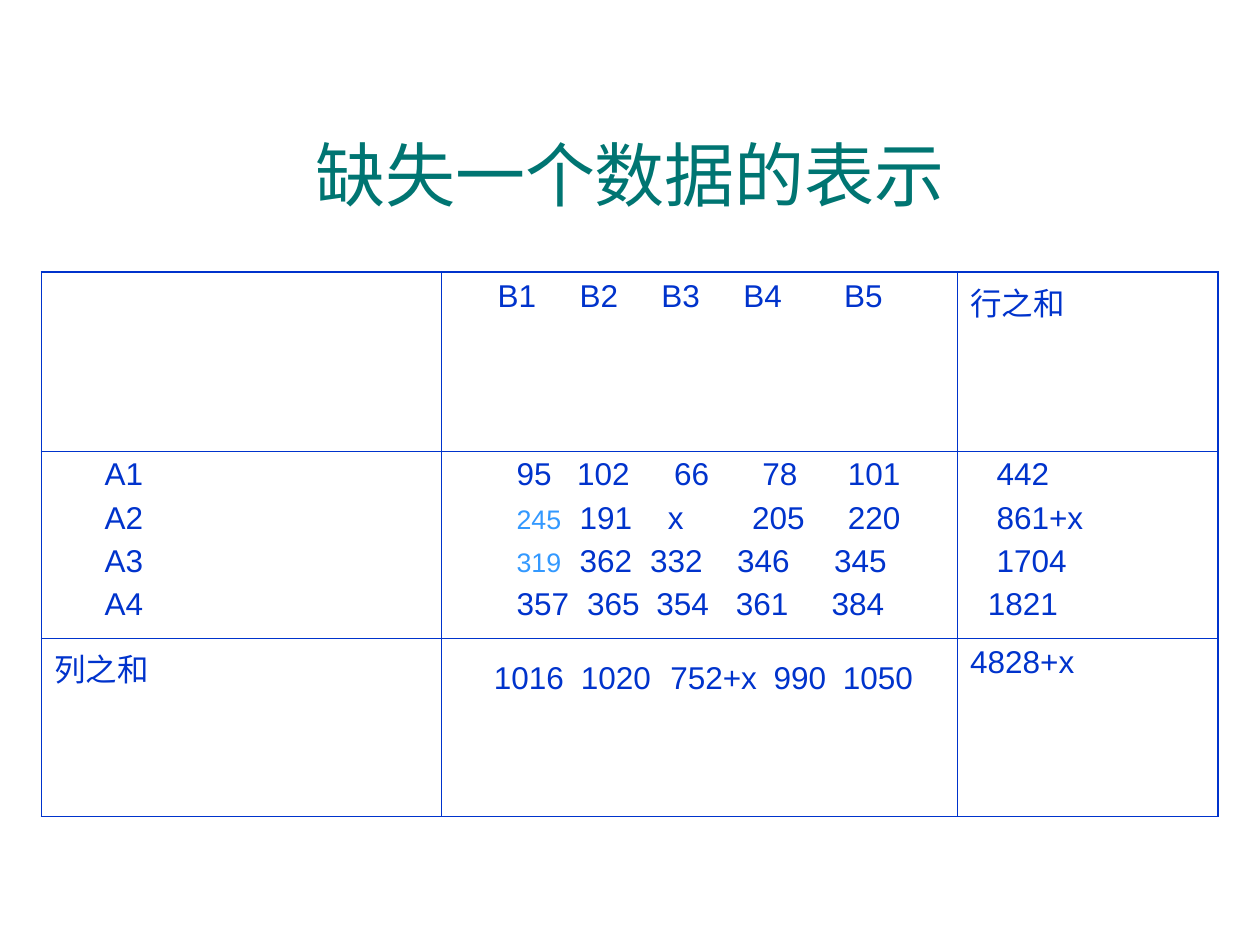
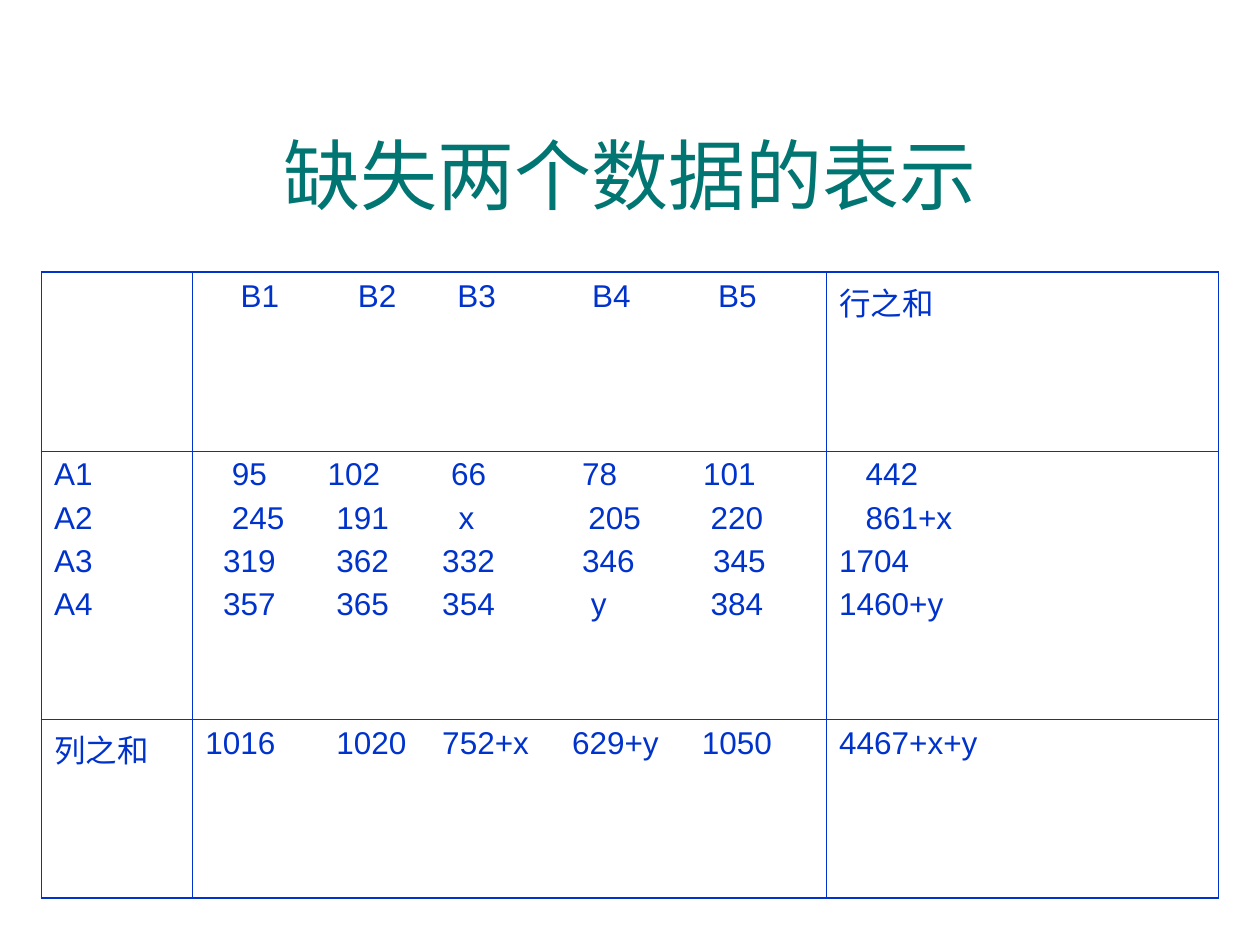
from lxml.etree import SubElement
from pptx import Presentation
from pptx.dml.color import RGBColor
from pptx.enum.text import MSO_ANCHOR, MSO_AUTO_SIZE, PP_ALIGN
from pptx.oxml import parse_xml
from pptx.oxml.ns import nsdecls, qn
from pptx.util import Inches, Pt

COLORS = {"title": "007572", "table": "0033CC", "highlight": "3399FF"}
OUTER_LINE, INNER_LINE = 1.08, 0.45
TABLE_LEFT, TABLE_TOP = 0.33, 2.16

# Each cell is a list of lines; each line is (positions in inches, words).
slides = [
    {
        "title": "缺失一个数据的表示",
        "title_size": 40,
        "columns": [3.17, 4.1, 2.07],
        "rows": [1.42, 1.49, 1.41],
        "column_sum_top": 0.18,
        "highlights": ["245", "319"],
        "cells": [
            [
                [],
                [([0.35, 1, 1.65, 2.3, 3.1], "B1 B2 B3 B4 B5")],
                [([0], "行之和")],
            ],
            [
                [([0.4], name) for name in ("A1", "A2", "A3", "A4")],
                [
                    ([0.5, 0.98, 1.75, 2.45, 3.13], "95 102 66 78 101"),
                    ([0.5, 1, 1.7, 2.37, 3.13], "245 191 x 205 220"),
                    ([0.5, 1, 1.56, 2.25, 3.02], "319 362 332 346 345"),
                    ([0.5, 1.06, 1.61, 2.24, 3], "357 365 354 361 384"),
                ],
                [([0.21], "442"), ([0.21], "861+x"), ([0.21], "1704"), ([0.14], "1821")],
            ],
            [
                [([0], "列之和")],
                [([0.32, 1.01, 1.72, 2.54, 3.09], "1016 1020 752+x 990 1050")],
                [([0], "4828+x")],
            ],
        ],
    },
    {
        "title": "缺失两个数据的表示",
        "title_size": 44,
        "columns": [1.2, 5.03, 3.11],
        "rows": [1.42, 2.13, 1.42],
        "column_sum_top": 0.05,
        "highlights": [],
        "cells": [
            [
                [],
                [([0.28, 1.21, 2, 3.07, 4.07], "B1 B2 B3 B4 B5")],
                [([0], "行之和")],
            ],
            [
                [([0], name) for name in ("A1", "A2", "A3", "A4")],
                [
                    ([0.21, 0.97, 1.95, 2.99, 3.95], "95 102 66 78 101"),
                    ([0.21, 1.04, 2.01, 3.04, 4.01], "245 191 x 205 220"),
                    ([0.14, 1.04, 1.88, 2.99, 4.03], "319 362 332 346 345"),
                    ([0.14, 1.04, 1.88, 3.06, 4.01], "357 365 354 y 384"),
                ],
                [([0.21], "442"), ([0.21], "861+x"), ([0], "1704"), ([0], "1460+y")],
            ],
            [
                [([0], "列之和")],
                [([0, 1.04, 1.88, 2.91, 3.94], "1016 1020 752+x 629+y 1050")],
                [([0], "4467+x+y")],
            ],
        ],
    },
]


def set_borders(cell, widths):
    """Draw the left, right, top and bottom borders, in that order."""
    properties = cell._tc.get_or_add_tcPr()
    for place, (side, width) in enumerate(zip("LRTB", widths)):
        properties.insert(place, parse_xml(
            f'<a:ln{side} {nsdecls("a")} w="{Pt(width)}"><a:solidFill>'
            f'<a:srgbClr val="{COLORS["table"]}"/></a:solidFill></a:ln{side}>'))


def write_line(para, positions, words, highlights):
    """Indent a single word; put several words on tab stops."""
    properties = para._p.get_or_add_pPr()
    if len(positions) == 1:
        properties.set("marL", str(Inches(positions[0])))
    else:
        tabs = SubElement(properties, qn("a:tabLst"))
        for position in filter(None, positions):
            SubElement(tabs, qn("a:tab"), pos=str(Inches(position)), algn="l")
    for position, word in zip(positions, words.split()):
        if position and len(positions) > 1:
            para.add_run().text = "\t"
        span = para.add_run()
        span.text = word
        if word in highlights:
            span.font.size = Pt(15.3)
            span.font.color.rgb = RGBColor.from_string(COLORS["highlight"])
    para.font.size = Pt(18)
    para.font.name = "Arial"
    para.font.color.rgb = RGBColor.from_string(COLORS["table"])


deck = Presentation()
deck.slide_width, deck.slide_height = Inches(10), Inches(7.5)

for content in slides:
    page = deck.slides.add_slide(deck.slide_layouts[5])
    title = page.shapes.title
    place = {"left": TABLE_LEFT, "top": 0.75, "width": 9.34, "height": 1.25}
    for name, value in place.items():
        setattr(title, name, Inches(value))
    title.text_frame.text = content["title"]
    title.text_frame.auto_size = MSO_AUTO_SIZE.NONE
    title.text_frame.vertical_anchor = MSO_ANCHOR.MIDDLE
    para = title.text_frame.paragraphs[0]
    para.alignment = PP_ALIGN.CENTER
    para.font.size = Pt(content["title_size"])
    para.font.name = "Arial"
    para.font.color.rgb = RGBColor.from_string(COLORS["title"])

    columns, rows = content["columns"], content["rows"]
    table = page.shapes.add_table(
        len(rows), len(columns), Inches(TABLE_LEFT), Inches(TABLE_TOP),
        Inches(sum(columns)), Inches(sum(rows))).table
    table.first_row = table.horz_banding = False
    for column, width in zip(table.columns, columns):
        column.width = Inches(width)
    for row, height in zip(table.rows, rows):
        row.height = Inches(height)

    for row_index, row_cells in enumerate(content["cells"]):
        for column_index, lines in enumerate(row_cells):
            cell = table.cell(row_index, column_index)
            cell.fill.background()
            on_edge = [column_index == 0, column_index == len(columns) - 1,
                       row_index == 0, row_index == len(rows) - 1]
            set_borders(cell, [OUTER_LINE if edge else INNER_LINE for edge in on_edge])
            for line_index, (positions, words) in enumerate(lines):
                frame = cell.text_frame
                para = frame.add_paragraph() if line_index else frame.paragraphs[0]
                if line_index:
                    para.space_before = Pt(4.5)
                write_line(para, positions, words, content["highlights"])
    table.cell(2, 1).margin_top = Inches(content["column_sum_top"])

deck.save("out.pptx")
